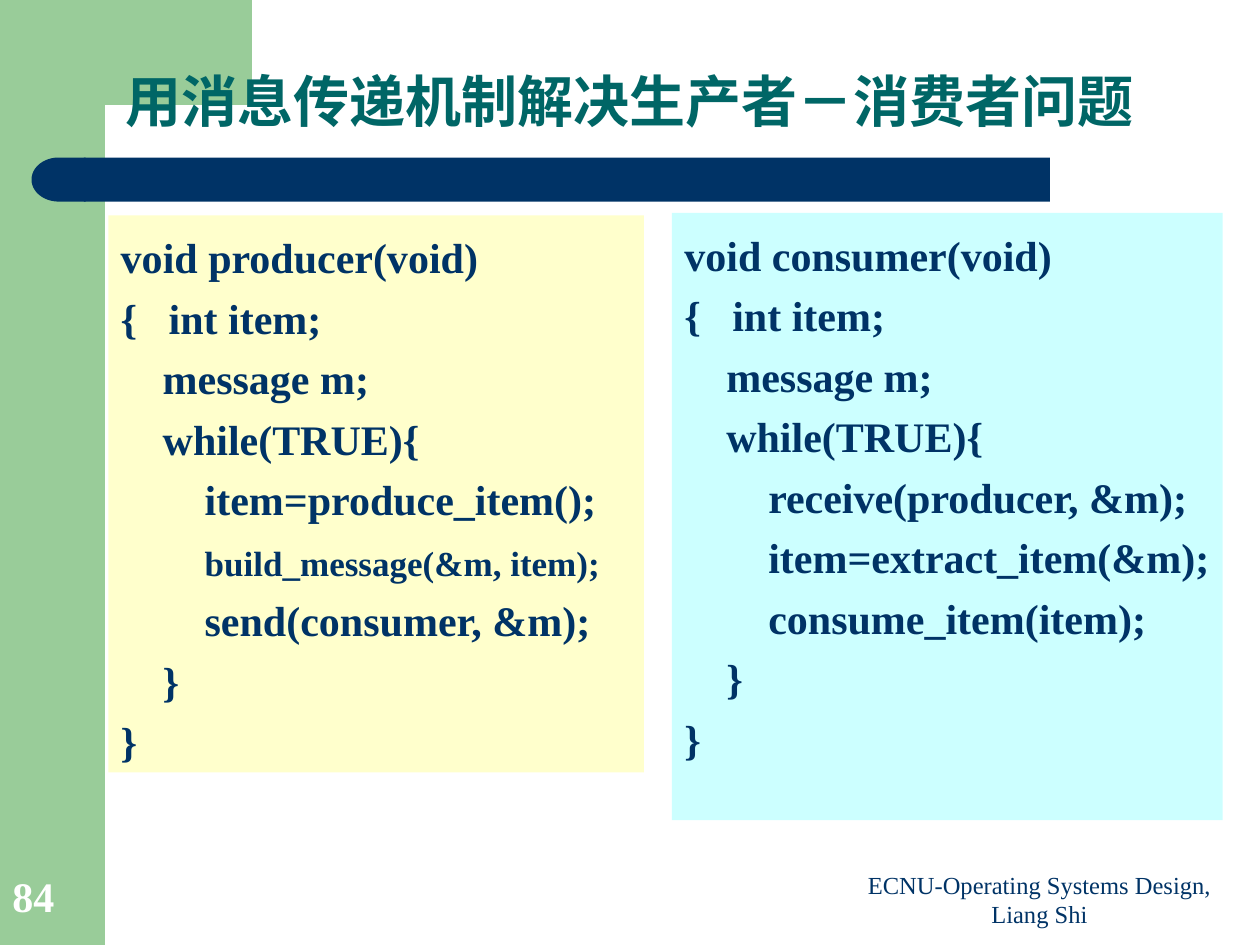
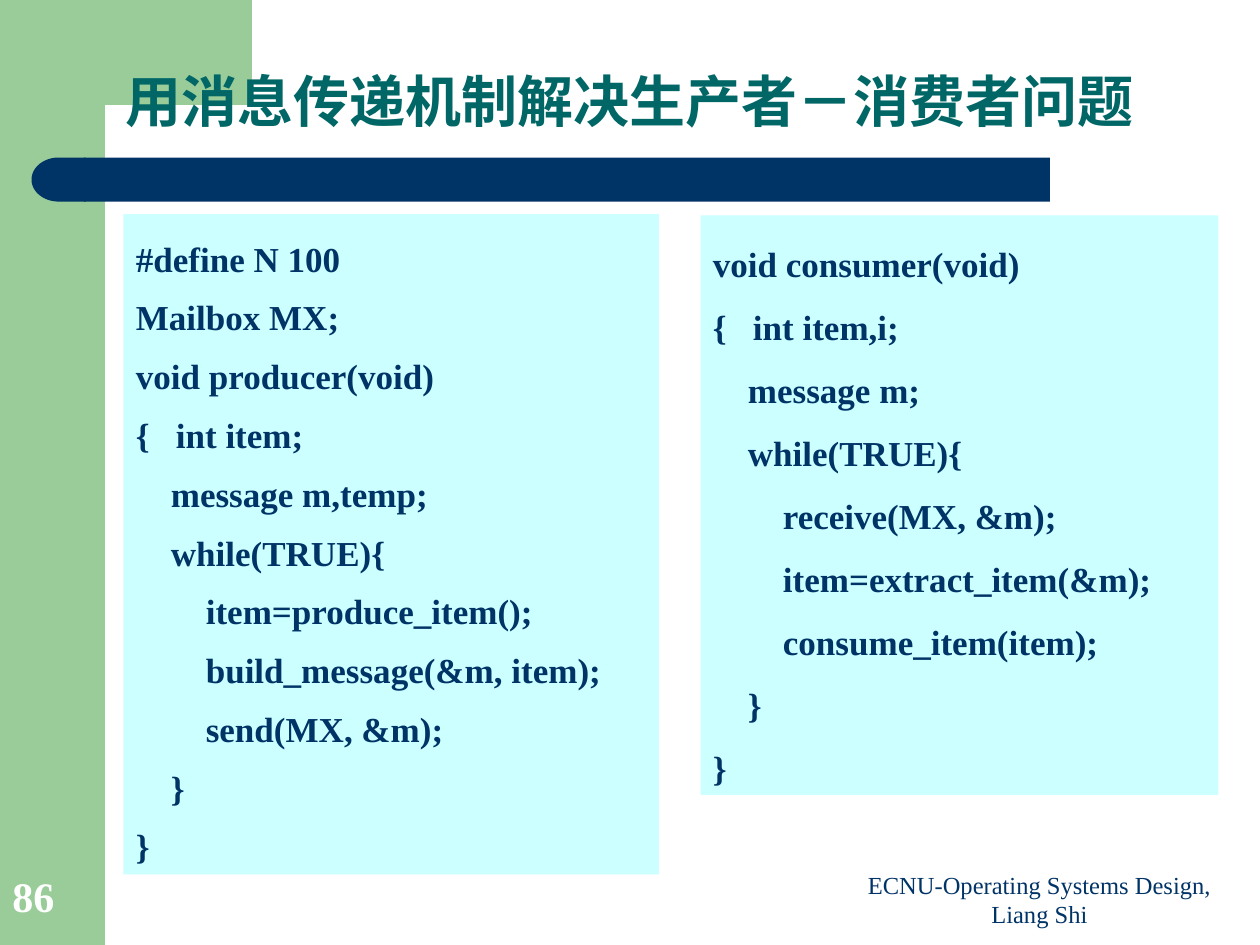
from dataclasses import dataclass

from lxml.etree import SubElement
from pptx import Presentation
from pptx.dml.color import RGBColor
from pptx.enum.shapes import MSO_SHAPE
from pptx.enum.text import MSO_ANCHOR, PP_ALIGN
from pptx.oxml.ns import qn
from pptx.shapes.autoshape import Shape
from pptx.slide import Slide
from pptx.text.text import TextFrame, _Paragraph
from pptx.util import Emu, Inches, Pt

GREEN = RGBColor(0x99, 0xCC, 0x99)
NAVY = RGBColor(0x00, 0x33, 0x66)
TEAL = RGBColor(0x00, 0x66, 0x66)
WHITE = RGBColor(0xFF, 0xFF, 0xFF)
CREAM = RGBColor(0xFF, 0xFF, 0xCC)
AQUA = RGBColor(0xCC, 0xFF, 0xFF)

SERIF = "Times New Roman"
SANS = "Noto Sans CJK SC"

WIDTH, HEIGHT = Inches(10), Inches(7.5)
COLUMNS, ROWS = 120, 90

TITLE = "用消息传递机制解决生产者－消费者问题"
FOOTER = "ECNU-Operating Systems Design, Liang Shi"
CORNER = (
    (24, 0), (24, 10), (10, 10), (9.24, 10.2), (8.52, 11.04),
    (8.16, 12.48), (8.04, 15.36), (6, 15.36), (6, 0),
)


@dataclass(frozen=True)
class Area:
    column: float
    row: float
    columns: float
    rows: float

    def emu(self) -> tuple[Emu, Emu, Emu, Emu]:
        return (across(self.column), down(self.row),
                across(self.columns), down(self.rows))


@dataclass(frozen=True)
class Style:
    size: float
    color: RGBColor
    bold: bool = True
    font: str = SERIF


@dataclass(frozen=True)
class CodePanel:
    area: Area
    fill: RGBColor
    size: float
    spacing: float
    code: tuple[str, ...]
    wraps: bool = True
    reduced: str = ""


@dataclass(frozen=True)
class Page:
    number: int
    panels: tuple[CodePanel, ...]


SIDE_BAND = Area(0, 0, 10, ROWS)
RULE = Area(8, 15, 92, 4.2)
RULE_CAP = Area(3, 15, 5.16, 4.2)
TITLE_AREA = Area(0, 4.44, COLUMNS, 9)
FOOTER_AREA = Area(80, 82.8, 38, 6.24)
NUMBER_AREA = Area(0, 82, 9.84, 6.36)

TITLE_STYLE = Style(32, TEAL, font=SANS)
FOOTER_STYLE = Style(14, NAVY, bold=False)
NUMBER_STYLE = Style(24, WHITE)


def across(columns: float) -> Emu:
    return Emu(round(WIDTH * columns / COLUMNS))


def down(rows: float) -> Emu:
    return Emu(round(HEIGHT * rows / ROWS))


def routine(name: str, variables: str, messages: str,
            steps: tuple[str, ...]) -> tuple[str, ...]:
    return (
        f"void {name}(void)",
        f"{{   int {variables};",
        f"    message {messages};",
        "    while(TRUE){",
        *(f"        {step};" for step in steps),
        "    }",
        "}",
    )


def producer(target: str, messages: str) -> tuple[str, ...]:
    return routine("producer", "item", messages, (
        "item=produce_item()", "build_message(&m, item)", f"send({target}, &m)"))


def consumer(origin: str, variables: str) -> tuple[str, ...]:
    return routine("consumer", variables, "m", (
        f"receive({origin}, &m)", "item=extract_item(&m)", "consume_item(item)"))


PAGES = (
    Page(84, (
        CodePanel(Area(10.32, 20.52, 51, 53.04), CREAM, 24, 1.2,
                  producer("consumer", "m"), reduced="build_message(&m, item);"),
        CodePanel(Area(64, 20.28, 52.44, 57.84), AQUA, 24, 1.2,
                  consumer("producer", "item"), wraps=False),
    )),
    Page(86, (
        CodePanel(Area(11.76, 20.4, 51, 62.88), AQUA, 20, 1.4,
                  ("#define N 100", "Mailbox MX;", *producer("MX", "m,temp"))),
        CodePanel(Area(66.72, 20.52, 49.32, 55.2), AQUA, 20, 1.5,
                  consumer("MX", "item,i")),
    )),
)


def paint(shape: Shape, color: RGBColor) -> None:
    shape.shadow.inherit = False
    shape.fill.solid()
    shape.fill.fore_color.rgb = color
    shape.line.fill.background()


def add_block(slide: Slide, kind: MSO_SHAPE, area: Area, color: RGBColor) -> Shape:
    block = slide.shapes.add_shape(kind, *area.emu())
    paint(block, color)
    return block


def add_run(paragraph: _Paragraph, text: str, style: Style) -> None:
    run = paragraph.add_run()
    run.text = text
    run.font.size = Pt(style.size)
    run.font.bold = style.bold
    run.font.color.rgb = style.color
    run.font.name = style.font
    SubElement(run.font._element, qn("a:ea"), typeface=style.font)


def set_frame(frame: TextFrame, anchor: MSO_ANCHOR, wraps: bool = True) -> None:
    frame.word_wrap = wraps
    frame.vertical_anchor = anchor


def add_label(slide: Slide, area: Area, text: str, style: Style,
              align: PP_ALIGN, spacing: float) -> None:
    frame = slide.shapes.add_textbox(*area.emu()).text_frame
    set_frame(frame, MSO_ANCHOR.BOTTOM)
    paragraph = frame.paragraphs[0]
    paragraph.alignment = align
    paragraph.line_spacing = spacing
    add_run(paragraph, text, style)


def add_backdrop(slide: Slide) -> None:
    add_block(slide, MSO_SHAPE.RECTANGLE, SIDE_BAND, GREEN)
    start, *outline = [(across(x), down(y)) for x, y in CORNER]
    builder = slide.shapes.build_freeform(*start)
    builder.add_line_segments(outline, close=True)
    paint(builder.convert_to_shape(), GREEN)
    add_block(slide, MSO_SHAPE.RECTANGLE, RULE, NAVY)
    add_block(slide, MSO_SHAPE.FLOWCHART_DELAY, RULE_CAP, NAVY).rotation = 180


def add_code(slide: Slide, panel: CodePanel) -> None:
    block = add_block(slide, MSO_SHAPE.RECTANGLE, panel.area, panel.fill)
    frame = block.text_frame
    set_frame(frame, MSO_ANCHOR.TOP, panel.wraps)
    normal = Style(panel.size, NAVY)
    for index, line in enumerate(panel.code):
        paragraph = frame.add_paragraph() if index else frame.paragraphs[0]
        paragraph.alignment = PP_ALIGN.LEFT
        paragraph.line_spacing = panel.spacing
        if panel.reduced and line.endswith(panel.reduced):
            add_run(paragraph, line.removesuffix(panel.reduced), normal)
            add_run(paragraph, panel.reduced, Style(20, NAVY))
        else:
            add_run(paragraph, line, normal)


def main() -> None:
    deck = Presentation()
    deck.slide_width, deck.slide_height = WIDTH, HEIGHT
    for page in PAGES:
        slide = deck.slides.add_slide(deck.slide_layouts[6])
        add_backdrop(slide)
        add_label(slide, TITLE_AREA, TITLE, TITLE_STYLE, PP_ALIGN.CENTER, 0.9)
        for panel in page.panels:
            add_code(slide, panel)
        add_label(slide, FOOTER_AREA, FOOTER, FOOTER_STYLE, PP_ALIGN.CENTER, 1.0)
        add_label(slide, NUMBER_AREA, str(page.number), NUMBER_STYLE,
                  PP_ALIGN.LEFT, 0.9)
    deck.save("out.pptx")


if __name__ == "__main__":
    main()
